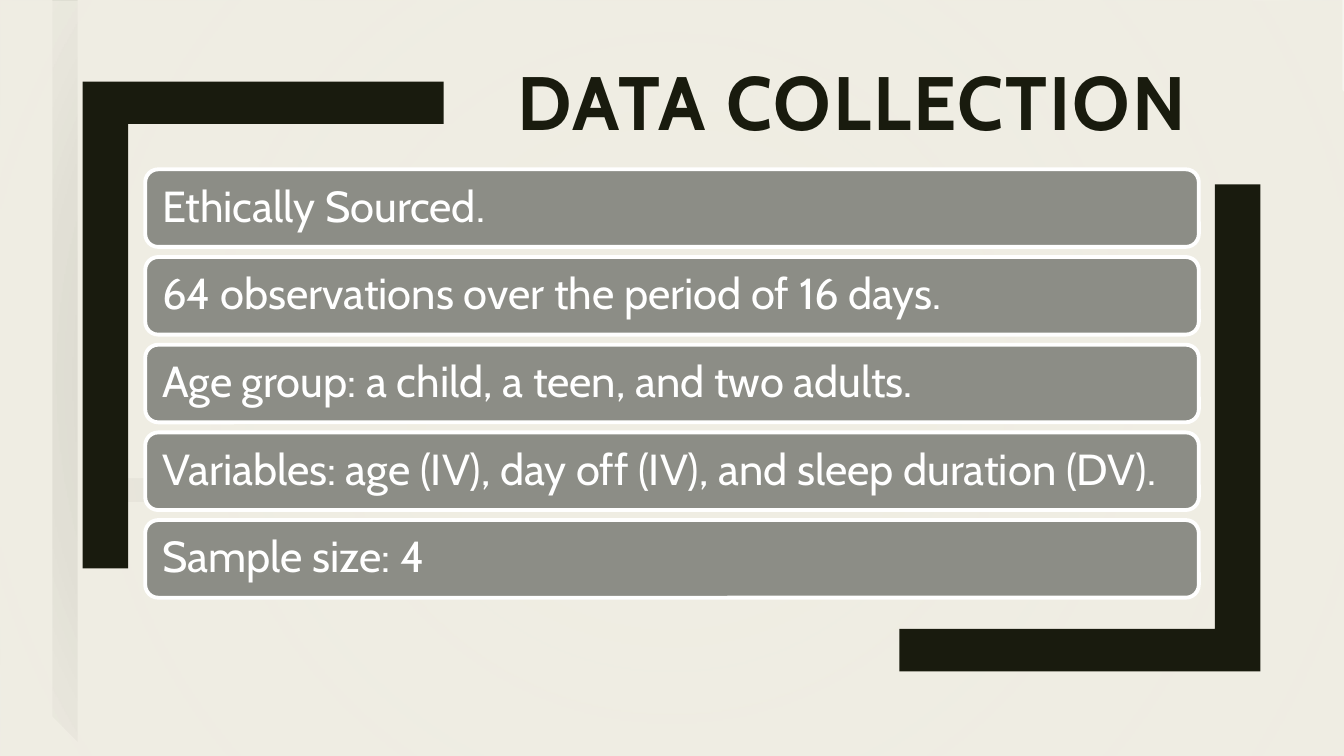
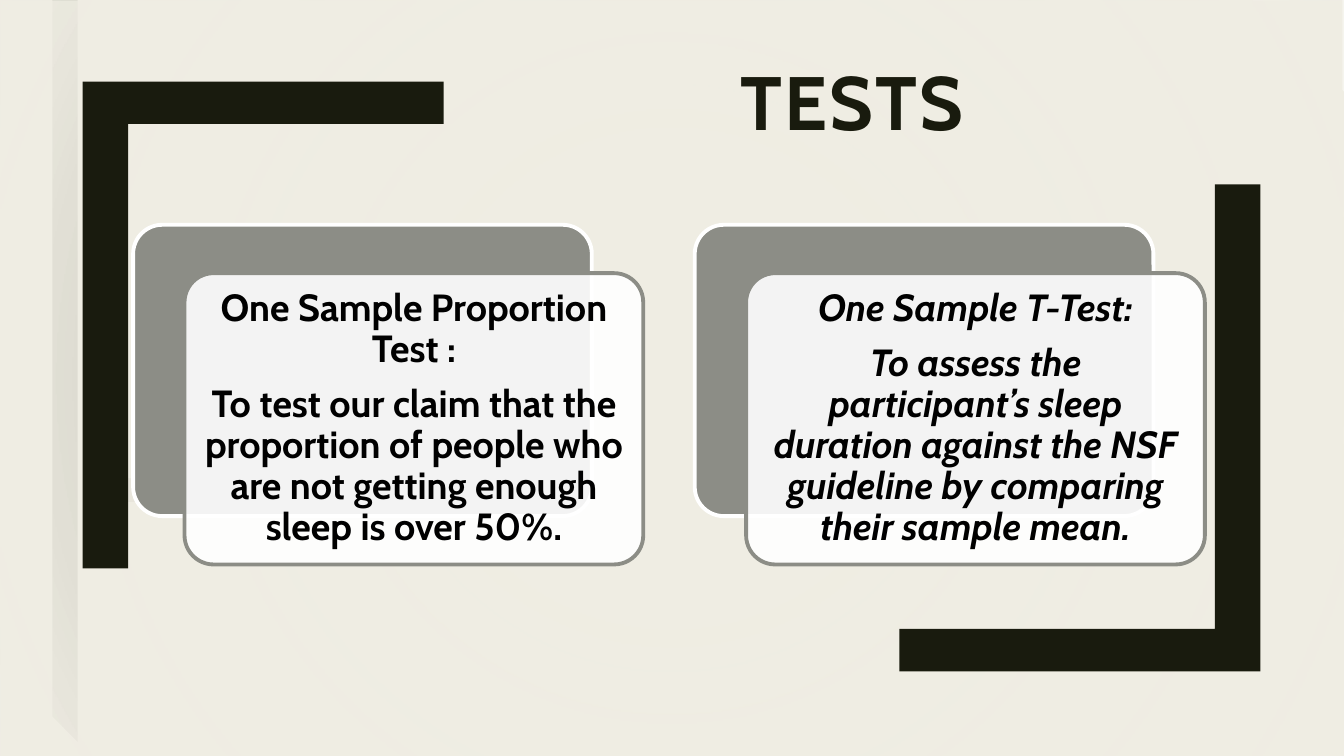
from pptx import Presentation
from pptx.dml.color import RGBColor
from pptx.enum.shapes import MSO_SHAPE
from pptx.enum.text import MSO_ANCHOR, MSO_AUTO_SIZE, PP_ALIGN
from pptx.oxml import parse_xml
from pptx.oxml.ns import nsdecls
from pptx.util import Inches, Pt

WIDE, HIGH = 13.33, 7.5
FONT = "Cabin"
PAPER, INK, GREY, WHITE, BLACK = "EFEDE3", "191B0E", "8C8D86", "FFFFFF", "000000"
ANGLE = [(0.82, 0.81), (4.4, 0.81), (4.4, 1.23), (1.27, 1.23), (1.27, 5.64), (0.82, 5.64)]
FACTS = [
    "Ethically Sourced.",
    "64 observations over the period of 16 days.",
    "Age group: a child, a teen, and two adults.",
    "Variables: age (IV), day off (IV), and sleep duration (DV).",
    "Sample size: 4",
]
TESTS = [
    (["One Sample Proportion Test :",
      "To test our claim that the proportion of people who are not getting enough sleep is over 50%."], False),
    (["One Sample T-Test:",
      "To assess the participant’s sleep duration against the NSF guideline by comparing their sample mean."], True),
]


def tint(fill, code):
    """Fill with one colour given as a hex string."""
    fill.solid()
    fill.fore_color.rgb = RGBColor.from_string(code)


def finish(shape, fill, line=None):
    """Give a shape its fill and outline, without a shadow."""
    shape.shadow.inherit = False
    tint(shape.fill, fill)
    if line:
        tint(shape.line.fill, line)
        shape.line.width = Pt(2.75)
    else:
        shape.line.fill.background()
    return shape


def block(shapes, kind, box, fill, line=None):
    """Add a preset shape."""
    return finish(shapes.add_shape(kind, *map(Inches, box)), fill, line)


def outline(shapes, points, fill):
    """Add a closed outline through points in inches."""
    start, *rest = [(Inches(x), Inches(y)) for x, y in points]
    maker = shapes.build_freeform(*start)
    maker.add_line_segments(rest, close=True)
    return finish(maker.convert_to_shape(), fill)


def fade(shape, code, stops, way):
    """Replace a plain fill by a gradient of one colour with changing opacity."""
    marks = "".join(
        f'<a:gs pos="{place * 1000}"><a:srgbClr val="{code}"><a:alpha val="{alpha * 1000}"/></a:srgbClr></a:gs>'
        for place, alpha in stops)
    props = shape.element.spPr
    props.replace(props.find("{*}solidFill"), parse_xml(
        f'<a:gradFill {nsdecls("a")} rotWithShape="1"><a:gsLst>{marks}</a:gsLst>{way}</a:gradFill>'))


def veil(shape, alpha):
    """Make a plain fill partly clear."""
    color = shape.element.spPr.find("{*}solidFill")[0]
    color.append(parse_xml(f'<a:alpha {nsdecls("a")} val="{alpha * 1000}"/>'))


def style(frame, size, code, align, bold=False, slant=False):
    """Format every paragraph and run of a text frame."""
    for place, para in enumerate(frame.paragraphs):
        para.alignment = align
        para.line_spacing = 0.9
        if place:
            para.space_before = Pt(10)
        for run in para.runs:
            font = run.font
            font.name, font.size, font.bold, font.italic = FONT, Pt(size), bold, slant
            font.color.rgb = RGBColor.from_string(code)


def write(shape, lines, pad, *look):
    """Put centred-in-height paragraphs into a shape."""
    frame = shape.text_frame
    frame.word_wrap = True
    frame.vertical_anchor = MSO_ANCHOR.MIDDLE
    frame.margin_left = frame.margin_right = frame.margin_top = frame.margin_bottom = Inches(pad)
    frame.text = "\n".join(lines)
    style(frame, *look)


def scene(shapes):
    """Draw the shared bar, corners, veil and angle brackets."""
    block(shapes, MSO_SHAPE.RECTANGLE, (0.52, 0, 0.25, HIGH), INK)
    block(shapes, MSO_SHAPE.RIGHT_TRIANGLE, (0, 6.59, 0.91, 0.91), WHITE)
    block(shapes, MSO_SHAPE.RIGHT_TRIANGLE, (12.42, 0, 0.91, 0.91), WHITE).rotation = 180
    strip = block(shapes, MSO_SHAPE.RECTANGLE, (0.93, 4.75, 2.04, 0.23), GREY)
    fade(strip, GREY, [(0, 100), (99, 0)], '<a:lin ang="0" scaled="0"/>')
    sheet = block(shapes, MSO_SHAPE.RECTANGLE, (0, 0, WIDE, HIGH), PAPER)
    fade(sheet, PAPER, [(30, 75), (100, 100)],
         '<a:path path="circle"><a:fillToRect l="50000" t="50000" r="50000" b="50000"/></a:path>')
    outline(shapes, ANGLE, INK)
    outline(shapes, [(13.32 - x, 7.47 - y) for x, y in ANGLE], INK)


def share(deck, layout):
    """Set the background, title place and scene on the layout."""
    tint(deck.slide_master.background.fill, PAPER)
    title, *spare = layout.placeholders
    for holder in spare:
        holder.element.getparent().remove(holder.element)
    title.left, title.top, title.width, title.height = map(Inches, (4.41, 0.16, 8.08, 1.35))
    draft = deck.slides.add_slide(layout)
    scene(draft.shapes)
    for shape in list(draft.shapes)[1:]:
        title.element.addprevious(shape.element)
    return draft


def head(slide, text):
    """Write the slide title."""
    frame = slide.shapes.title.text_frame
    frame.text = text
    frame.auto_size = MSO_AUTO_SIZE.NONE
    frame.vertical_anchor = MSO_ANCHOR.BOTTOM
    style(frame, 54, INK, PP_ALIGN.CENTER, True)
    frame.paragraphs[0].runs[0].font._element.set("spc", "150")


def row(shapes, top, text):
    """Add one full-width fact bar."""
    bar = block(shapes, MSO_SHAPE.ROUNDED_RECTANGLE, (1.44, top, 10.45, 0.77), GREY, WHITE)
    write(bar, [text], 0.13, 31, WHITE, PP_ALIGN.LEFT)


def card(shapes, left, lines, slant):
    """Add a text card laid over a grey one."""
    back, front = [
        block(shapes, MSO_SHAPE.ROUNDED_RECTANGLE, (x, y, 4.55, 2.89), fill, line)
        for x, y, fill, line in ((left, 2.23, GREY, WHITE), (left + 0.51, 2.71, WHITE, GREY))]
    back.adjustments[0] = front.adjustments[0] = 0.1
    veil(front, 90)
    write(front, lines, 0.11, 27, BLACK, PP_ALIGN.CENTER, True, slant)


def main():
    """Build and save the deck."""
    deck = Presentation()
    deck.slide_width, deck.slide_height = Inches(WIDE), Inches(HIGH)
    layout = deck.slide_layouts[5]

    slide = share(deck, layout)
    head(slide, "DATA COLLECTION")
    for place, fact in enumerate(FACTS):
        row(slide.shapes, 1.68 + place * 0.87, fact)

    slide = deck.slides.add_slide(layout)
    head(slide, "TESTS")
    for place, (lines, slant) in enumerate(TESTS):
        card(slide.shapes, 1.32 + place * 5.57, lines, slant)

    deck.save("out.pptx")


if __name__ == "__main__":
    main()
